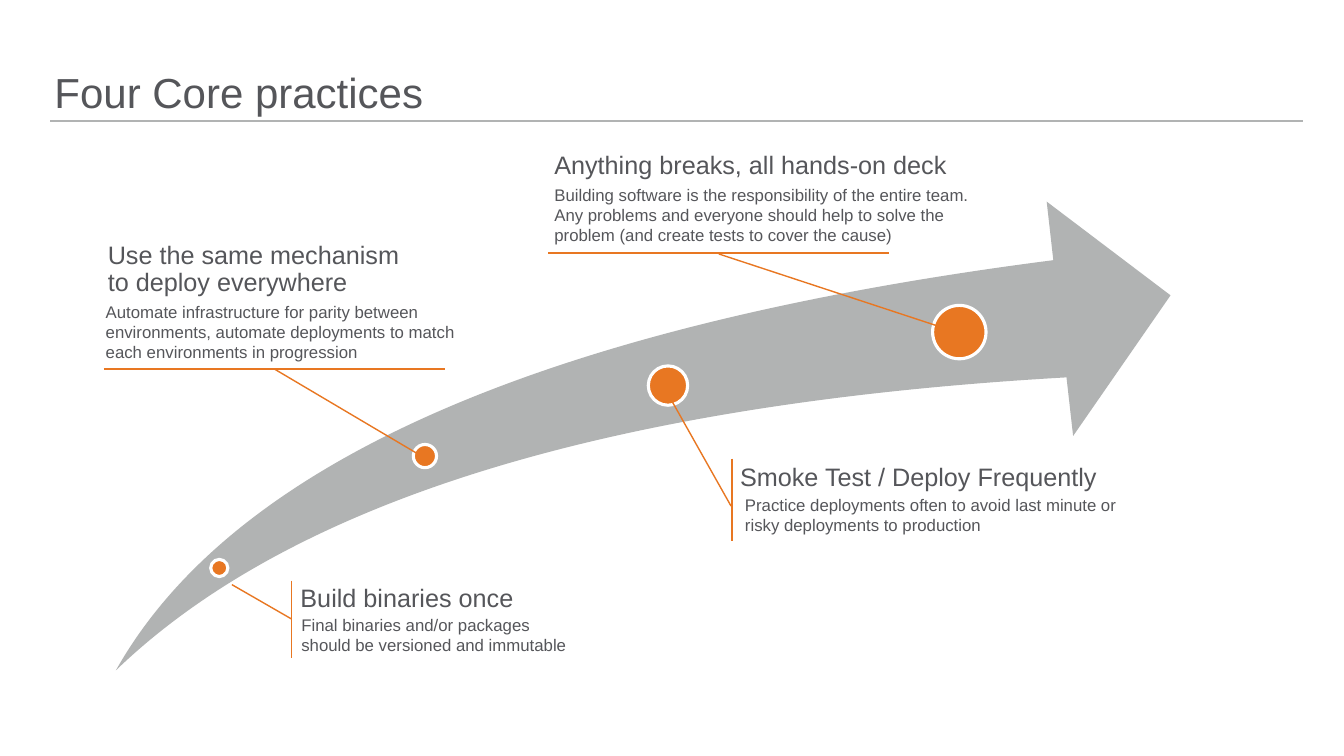
import pptx
import pptx.dml.color
import pptx.enum.shapes
import pptx.enum.text
import pptx.oxml
import pptx.oxml.ns
import pptx.util

Inches = pptx.util.Inches
Pt = pptx.util.Pt
Shapes = pptx.enum.shapes.MSO_SHAPE
Anchor = pptx.enum.text.MSO_ANCHOR
AutoSize = pptx.enum.text.MSO_AUTO_SIZE

COLOURS = {"text": "55565A", "grey": "B1B3B3", "orange": "E87722", "white": "FFFFFF"}

# Left, top, width, left inset, words
HEADINGS = [
    (2.89, 5.81, 3.56, 0.09, "Build binaries once"),
    (0.91, 2.41, 3.16, 0.16, "Use the same mechanism to deploy everywhere"),
    (7.13, 4.61, 4.81, 0.21, "Smoke Test / Deploy Frequently"),
]
DETAILS = [
    (2.89, 6.05, 3.89, 0.5,
     "Final binaries and/or packages\vshould be versioned and immutable"),
    (0.95, 2.94, 3.89, 0.71,
     "Automate infrastructure for parity between environments, "
     "automate deployments to match each environments in progression"),
    (7.29, 4.86, 3.89, 0.5,
     "Practice deployments often to avoid last minute or "
     "risky deployments to production"),
    (5.4, 1.78, 4.54, 0.71,
     "Building software is the responsibility of the entire team. "
     "Any problems and everyone should help to solve the problem "
     "(and create tests to cover the cause)"),
]
# Left, top, diameter
MILESTONES = [(2.09, 5.55, 0.17), (4.1, 4.41, 0.23), (6.43, 3.63, 0.39), (9.25, 3.03, 0.53)]
# Start x, start y, end x, end y
LEADERS = [
    (2.3, 5.8, 2.89, 6.14),
    (2.72, 3.66, 4.19, 4.53),
    (6.62, 3.9, 7.25, 5.02),
    (7.13, 2.52, 9.53, 3.31),
]
RULES = [
    (2.89, 5.76, 2.89, 6.53),
    (1.03, 3.66, 4.41, 3.66),
    (7.26, 4.55, 7.26, 5.37),
    (5.44, 2.51, 8.82, 2.51),
]


def colour(name):
    return pptx.dml.color.RGBColor.from_string(COLOURS[name])


def apply_format(target, values):
    for name, value in values.items():
        setattr(target, name, value)


def add_text(slide, box, words, size, frame_format=None, line_spacing=1.0):
    shape = slide.shapes.add_textbox(*map(Inches, box))
    frame = shape.text_frame
    apply_format(frame, {"word_wrap": True, **(frame_format or {})})
    paragraph = frame.paragraphs[0]
    paragraph.text = words
    paragraph.line_spacing = line_spacing
    for run in paragraph.runs:
        apply_format(run.font, {"name": "Arial", "size": Pt(size)})
        run.font.color.rgb = colour("text")


def add_filled_shape(slide, preset, box, fill, outline=None):
    shape = slide.shapes.add_shape(preset, *map(Inches, box))
    shape.shadow.inherit = False
    shape.fill.solid()
    shape.fill.fore_color.rgb = colour(fill)
    if outline:
        shape.line.color.rgb = colour(outline)
        shape.line.width = Pt(2.25)
    else:
        shape.line.fill.background()
    return shape


def add_line(slide, ends, line_colour):
    connector = slide.shapes.add_connector(
        pptx.enum.shapes.MSO_CONNECTOR.STRAIGHT, *map(Inches, ends))
    connector.line.color.rgb = colour(line_colour)
    connector.line.width = Pt(1)
    properties = connector._element.spPr
    properties.append(pptx.oxml.parse_xml(
        f'<a:effectLst {pptx.oxml.ns.nsdecls("a")}/>'))


def main():
    presentation = pptx.Presentation()
    apply_format(presentation, {"slide_width": Inches(13.33), "slide_height": Inches(7.5)})
    slide = presentation.slides.add_slide(presentation.slide_layouts[6])

    # Title and its rule
    no_insets = dict.fromkeys(
        ("margin_left", "margin_top", "margin_right", "margin_bottom"), 0)
    add_line(slide, (0.5, 1.2, 12.92, 1.2), "grey")
    add_text(slide, (0.54, 0, 8.89, 1.17), "Four Core practices", 30,
             {**no_insets, "vertical_anchor": Anchor.BOTTOM}, 0.9)

    # Rising arrow with milestones
    arrow = add_filled_shape(slide, Shapes.SWOOSH_ARROW, (1.15, 2, 10.46, 4.65), "grey")
    arrow.adjustments[0] = arrow.adjustments[1] = 0.25
    for left, top, diameter in MILESTONES:
        add_filled_shape(slide, Shapes.OVAL, (left, top, diameter, diameter),
                         "orange", "white")

    # Practices
    for left, top, width, inset, words in HEADINGS:
        add_text(slide, (left, top, width, 0.5), words, 18,
                 {**no_insets, "margin_left": Inches(inset)}, 0.9)
    grow = {"auto_size": AutoSize.SHAPE_TO_FIT_TEXT}
    add_text(slide, (5.4, 1.43, 4.13, 0.4), "Anything breaks, all hands-on deck", 18,
             {**grow, "word_wrap": False})
    for *box, words in DETAILS:
        add_text(slide, box, words, 12, grow)

    # Callout lines
    for ends in LEADERS + RULES:
        add_line(slide, ends, "orange")

    presentation.save("out.pptx")


if __name__ == "__main__":
    main()
